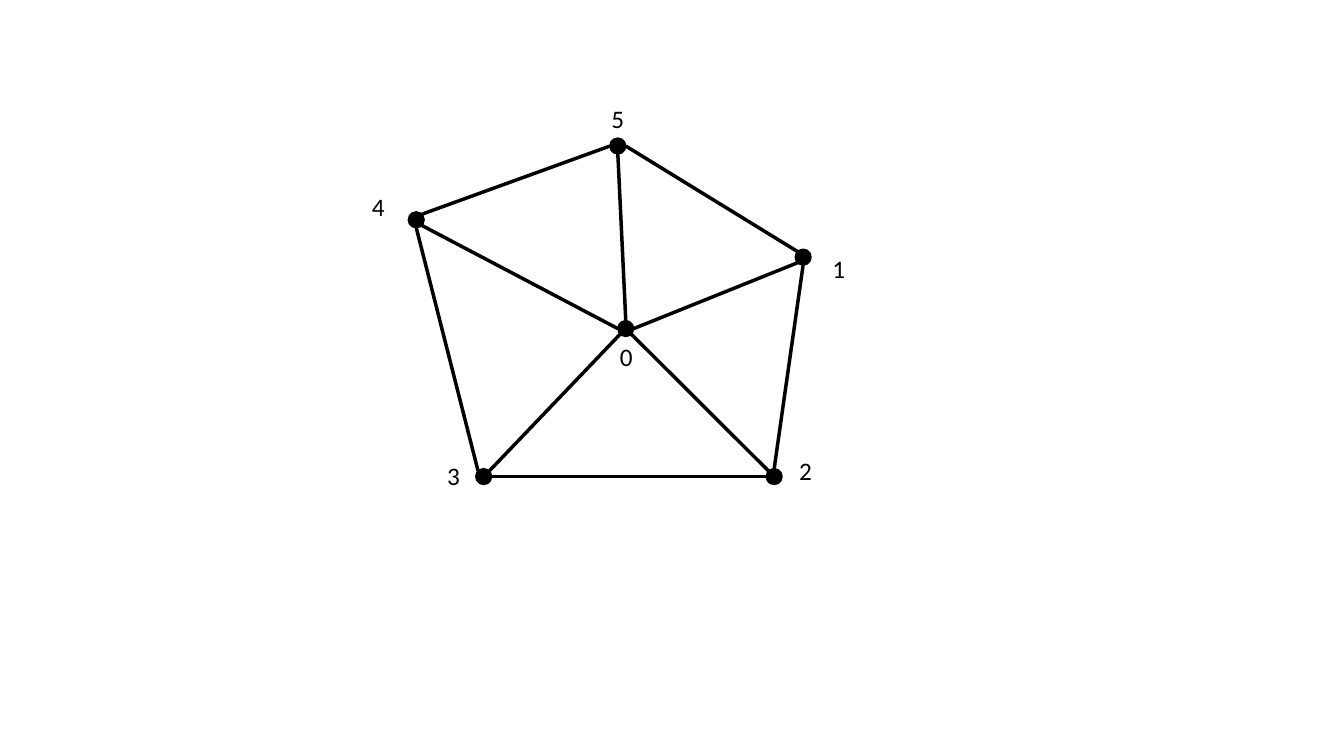
from math import cos, radians, sin

from lxml.etree import SubElement
from pptx import Presentation
from pptx.dml.color import RGBColor
from pptx.enum.shapes import MSO_CONNECTOR, MSO_SHAPE
from pptx.enum.text import MSO_AUTO_SIZE
from pptx.oxml.ns import qn
from pptx.util import Cm, Pt

BLACK = RGBColor(0, 0, 0)
RADIUS = 0.2

# Vertex: centre of the dot, top left of the label (cm)
NODES = {
    "0": ((15.77, 8.28), (15.37, 8.48)),
    "1": ((20.24, 6.48), (20.73, 6.27)),
    "2": ((19.51, 12.01), (19.89, 11.35)),
    "3": ((12.19, 12.01), (11.02, 11.48)),
    "4": ((10.49, 5.54), (9.12, 4.7)),
    "5": ((15.57, 3.68), (15.16, 2.49)),
}

# Edge: vertex and clockwise angle on its rim, at both ends
EDGES = [
    ("3", -45, "0", 135),
    ("2", -135, "0", 45),
    ("2", 180, "3", 0),
    ("3", -135, "4", 90),
    ("5", 180, "4", -45),
    ("0", 180, "4", 45),
    ("1", 135, "0", 0),
    ("1", -135, "5", 0),
    ("5", 90, "0", -90),
    ("1", 90, "2", -90),
]


def style(item, values):
    for name, value in values.items():
        setattr(item, name, value)


def add_dot(slide, centre):
    left, top = (Cm(c - RADIUS) for c in centre)
    size = Cm(2 * RADIUS)
    dot = slide.shapes.add_shape(MSO_SHAPE.OVAL, left, top, size, size)
    dot.shadow.inherit = False
    dot.fill.solid()
    dot.fill.fore_color.rgb = BLACK
    dot.line.color.rgb = BLACK
    dot.line.width = Pt(1)


def rim(node, angle):
    x, y = NODES[node][0]
    turn = radians(angle)
    return Cm(x + RADIUS * cos(turn)), Cm(y + RADIUS * sin(turn))


def add_edge(slide, start, out, end, into):
    edge = slide.shapes.add_connector(
        MSO_CONNECTOR.STRAIGHT, *rim(start, out), *rim(end, into))
    edge.line.color.rgb = BLACK
    edge.line.width = Pt(2.5)
    SubElement(edge._element.spPr, qn("a:effectLst"))


def add_label(slide, text, place):
    left, top = map(Cm, place)
    box = slide.shapes.add_textbox(left, top, Cm(0.81), Cm(1.02))
    frame = box.text_frame
    style(frame, {"text": text, "word_wrap": False,
                  "auto_size": MSO_AUTO_SIZE.SHAPE_TO_FIT_TEXT})
    font = frame.paragraphs[0].runs[0].font
    style(font, {"name": "Calibri", "size": Pt(18)})
    font.color.rgb = BLACK


def main():
    deck = Presentation()
    style(deck, {"slide_width": Cm(33.87), "slide_height": Cm(19.05)})
    slide = deck.slides.add_slide(deck.slide_layouts[6])

    # Dots
    for centre, _ in NODES.values():
        add_dot(slide, centre)

    # Edges of the wheel
    for edge in EDGES:
        add_edge(slide, *edge)

    # Labels
    for text, (_, place) in NODES.items():
        add_label(slide, text, place)

    deck.save("out.pptx")


if __name__ == "__main__":
    main()
